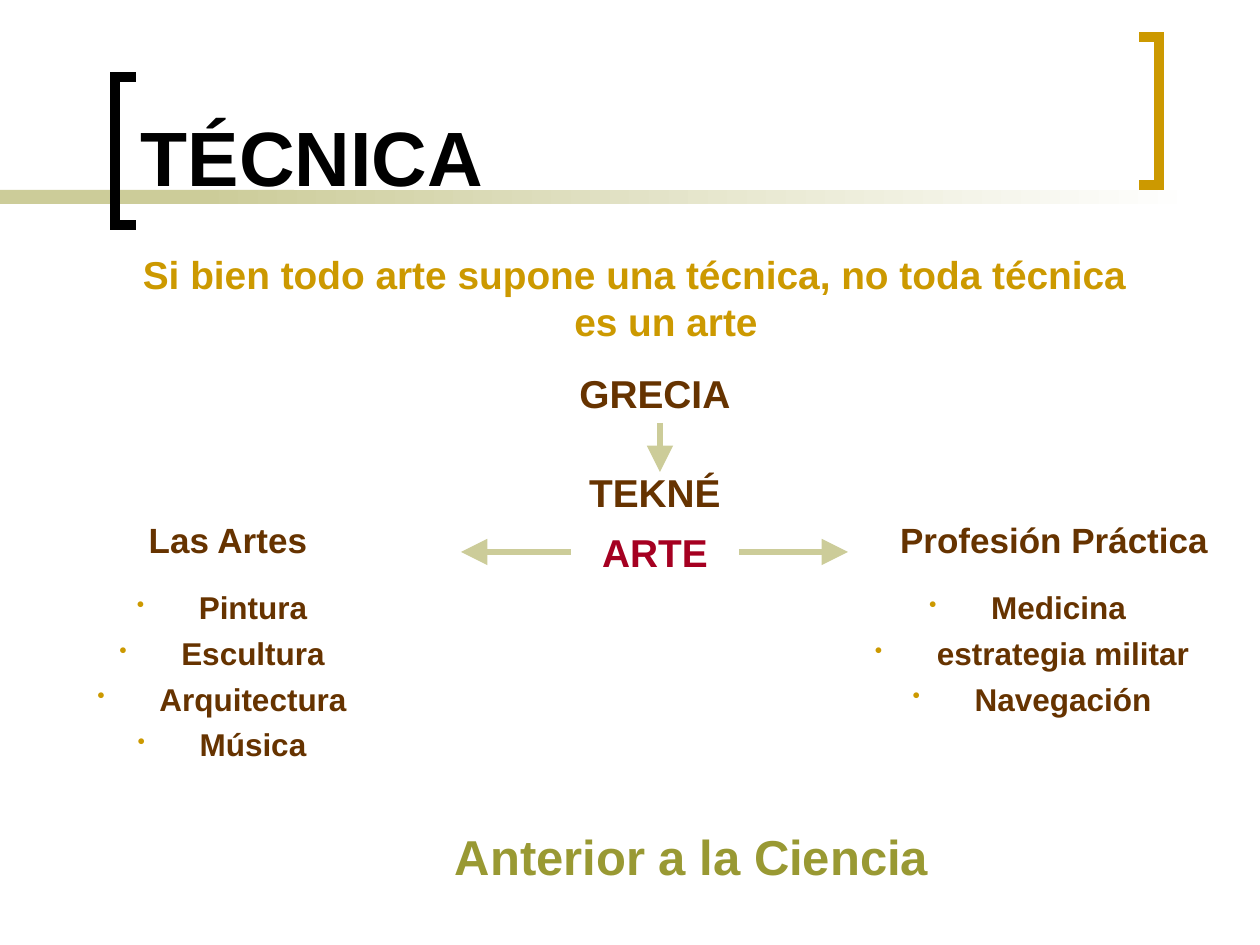
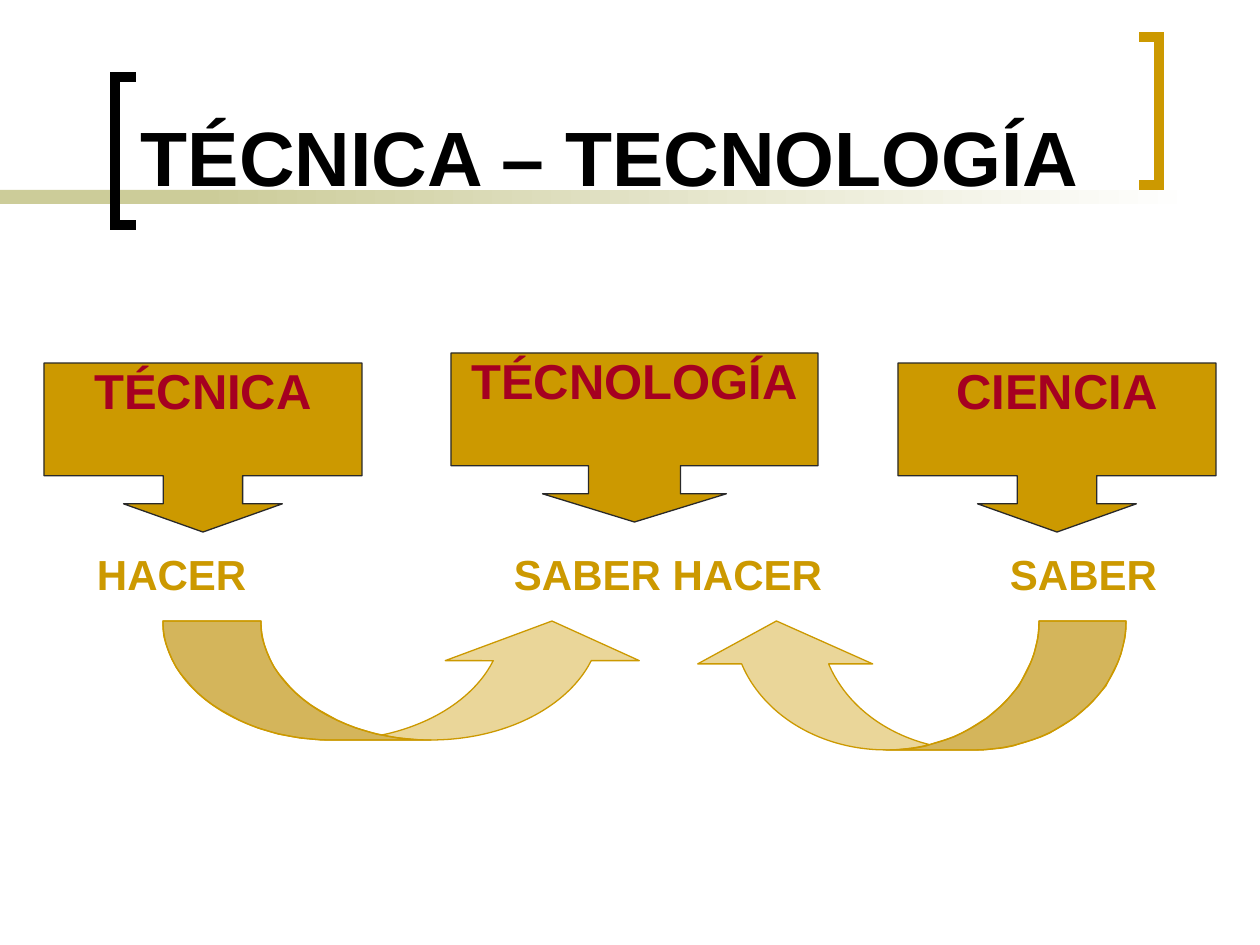
from math import cos, pi, sin

from lxml.etree import SubElement
from pptx import Presentation
from pptx.dml.color import RGBColor
from pptx.enum.shapes import MSO_CONNECTOR, MSO_SHAPE
from pptx.enum.text import MSO_ANCHOR, PP_ALIGN
from pptx.oxml.ns import qn
from pptx.util import Emu, Pt

EMU_PER_PX = 914400 / 126
BLACK, GOLD, SAND = "000000", "CC9900", "CCCC99"
BROWN, CRIMSON, OLIVE, CHARCOAL = "663300", "A50021", "999933", "292929"
HANGING = 62
ARC_STEPS = 24


def px(length):
    return Emu(round(length * EMU_PER_PX))


def rgb(code):
    return RGBColor.from_string(code)


def add_bullet(properties):
    color = SubElement(properties, qn("a:buClr"))
    SubElement(color, qn("a:srgbClr"), val=GOLD)
    SubElement(properties, qn("a:buSzPct"), val="70000")
    SubElement(properties, qn("a:buChar"), char="•")


def write(frame, text, size=18, color=BROWN, align=PP_ALIGN.CENTER, anchor=MSO_ANCHOR.TOP,
          margins=(13, 6), leading=1.21, before=0, hanging=False, bullet=False):
    frame.word_wrap = True
    frame.vertical_anchor = anchor
    frame.margin_left = frame.margin_right = px(margins[0])
    frame.margin_top = frame.margin_bottom = px(margins[1])
    for index, line in enumerate(text.split("\n")):
        paragraph = frame.paragraphs[0] if index == 0 else frame.add_paragraph()
        paragraph.alignment = align
        paragraph.line_spacing = Pt(round(size * leading, 1))
        if index:
            paragraph.space_before = Pt(before)
        properties = paragraph._p.get_or_add_pPr()
        if hanging or bullet:
            properties.set("marL", str(px(HANGING)))
            properties.set("indent", str(-px(HANGING)))
        if bullet:
            add_bullet(properties)
        run = paragraph.add_run()
        run.text = line
        run.font.name = "Arial"
        run.font.size = Pt(size)
        run.font.bold = True
        run.font.color.rgb = rgb(color)


class Deck:
    def __init__(self):
        self.presentation = Presentation()
        self.presentation.slide_width = px(1260)
        self.presentation.slide_height = px(945)
        self.shapes = None

    def new_slide(self, title):
        layout = self.presentation.slide_layouts[6]
        self.shapes = self.presentation.slides.add_slide(layout).shapes
        self.shape(MSO_SHAPE.RECTANGLE, (0, 190, 294, 14), SAND)
        fading_band = self.shape(MSO_SHAPE.RECTANGLE, (199, 190, 998, 14), SAND)
        fading_band.fill.gradient()
        fading_band.fill.gradient_angle = 0
        for stop, color in zip(fading_band.fill.gradient_stops, (SAND, "FFFFFF")):
            stop.color.rgb = rgb(color)
        self.bracket(136, 115, 77, BLACK)
        self.bracket(1139, 1159, 37, GOLD)
        self.text(title, (128, 13, 987, 195), size=44, color=BLACK,
                  align=PP_ALIGN.LEFT, anchor=MSO_ANCHOR.BOTTOM)

    def paint(self, shape, fill, line=None, alpha=None):
        shape.shadow.inherit = False
        shape.fill.solid()
        shape.fill.fore_color.rgb = rgb(fill)
        if alpha:
            fill_color = shape._element.spPr.find(qn("a:solidFill"))[0]
            SubElement(fill_color, qn("a:alpha"), val=str(alpha * 1000))
        if line:
            shape.line.color.rgb = rgb(line)
            shape.line.width = Pt(0.75)
        else:
            shape.line.fill.background()

    def shape(self, kind, box, fill, line=None, adjustments=(), alpha=None):
        shape = self.shapes.add_shape(kind, *map(px, box))
        for index, value in enumerate(adjustments):
            shape.adjustments[index] = value
        self.paint(shape, fill, line, alpha)
        return shape

    def outline(self, points, close):
        builder = self.shapes.build_freeform(*points[0], scale=EMU_PER_PX)
        builder.add_line_segments(points[1:], close=close)
        return builder.convert_to_shape()

    def bracket(self, open_x, spine_x, top, color):
        bottom = top + 148
        bracket = self.outline([(open_x, bottom), (spine_x, bottom),
                                (spine_x, top), (open_x, top)], close=False)
        bracket.shadow.inherit = False
        bracket.fill.background()
        bracket.line.color.rgb = rgb(color)
        bracket.line.width = Pt(6)
        SubElement(bracket.line._get_or_add_ln(), qn("a:miter"), lim="800000")

    def text(self, text, box, **style):
        write(self.shapes.add_textbox(*map(px, box)).text_frame, text, **style)

    def arrow(self, start, end):
        arrow = self.shapes.add_connector(MSO_CONNECTOR.STRAIGHT, *map(px, start + end))
        arrow.line.color.rgb = rgb(SAND)
        arrow.line.width = Pt(3)
        SubElement(arrow.line._get_or_add_ln(), qn("a:tailEnd"), type="triangle", w="lg", len="lg")
        SubElement(arrow._element.spPr, qn("a:effectLst"))

    def callout(self, text, box, shaft):
        callout = self.shape(MSO_SHAPE.DOWN_ARROW_CALLOUT, box, GOLD, CHARCOAL,
                             (shaft, shaft, 0.167, 0.667))
        write(callout.text_frame, text, size=28, color=CRIMSON, margins=(0, 0), leading=1.15)

    def swoosh(self, box, shaft, head, flipped=False):
        left, top, width, height = box
        swoosh = self.shape(MSO_SHAPE.CURVED_UP_ARROW, box, GOLD, GOLD,
                            (shaft / height, head / height, 0.333), alpha=40)
        if flipped:
            swoosh._element.spPr.find(qn("a:xfrm")).set("flipH", "1")
        radius = width / 2 - (shaft + head) / 4
        arc = [(radius * (1 - cos(step * pi / 2 / ARC_STEPS)),
                top + height * sin(step * pi / 2 / ARC_STEPS)) for step in range(ARC_STEPS + 1)]
        tail = arc + [(x + shaft, y) for x, y in reversed(arc)]
        points = [(left + width - x if flipped else left + x, y) for x, y in tail]
        self.paint(self.outline(points, close=True), GOLD, GOLD, alpha=40)


def build_technique(deck):
    deck.new_slide("TÉCNICA")
    deck.text("Anterior a la Ciencia", (442, 820, 540, 72), size=28, color=OLIVE,
              align=PP_ALIGN.LEFT)
    deck.text("Si bien todo arte supone una técnica, no toda técnica es un arte",
              (104, 244, 1062, 110), size=22.2, color=GOLD, hanging=True)
    for word, top, color in (("GRECIA", 363, BROWN), ("TEKNÉ", 462, BROWN), ("ARTE", 522, CRIMSON)):
        deck.text(word, (541, top, 228, 59), size=22.2, color=color)
    for start, end in (((660, 423), (660, 472)), ((739, 552), (848, 552)), ((571, 552), (461, 552))):
        deck.arrow(start, end)
    deck.text("Las Artes", (114, 512, 228, 59), size=20)
    deck.text("Profesión Práctica", (848, 512, 412, 59), size=20)
    deck.text("Pintura\nEscultura\nArquitectura\nMúsica", (68, 582, 308, 198),
              before=4.3, bullet=True)
    deck.text("Medicina \nestrategia militar\nNavegación", (858, 582, 348, 198),
              before=4.3, bullet=True)


def build_technology(deck):
    deck.new_slide("TÉCNICA – TECNOLOGÍA")
    for word, left, width in (("HACER", 84, 220), ("SABER HACER", 501, 380), ("SABER", 997, 220)):
        deck.text(word, (left, 542, width, 63), size=24, color=GOLD, align=PP_ALIGN.LEFT)
    deck.swoosh((163, 621, 486, 119), 98, 194)
    deck.swoosh((689, 621, 437, 129), 87, 175, flipped=True)
    deck.callout("TÉCNICA", (44, 363, 318, 169), 0.47)
    deck.callout("CIENCIA", (898, 363, 318, 169), 0.47)
    deck.callout("TÉCNOLOGÍA", (451, 353, 367, 169), 0.544)


def main():
    deck = Deck()
    build_technique(deck)
    build_technology(deck)
    deck.presentation.save("out.pptx")


if __name__ == "__main__":
    main()
